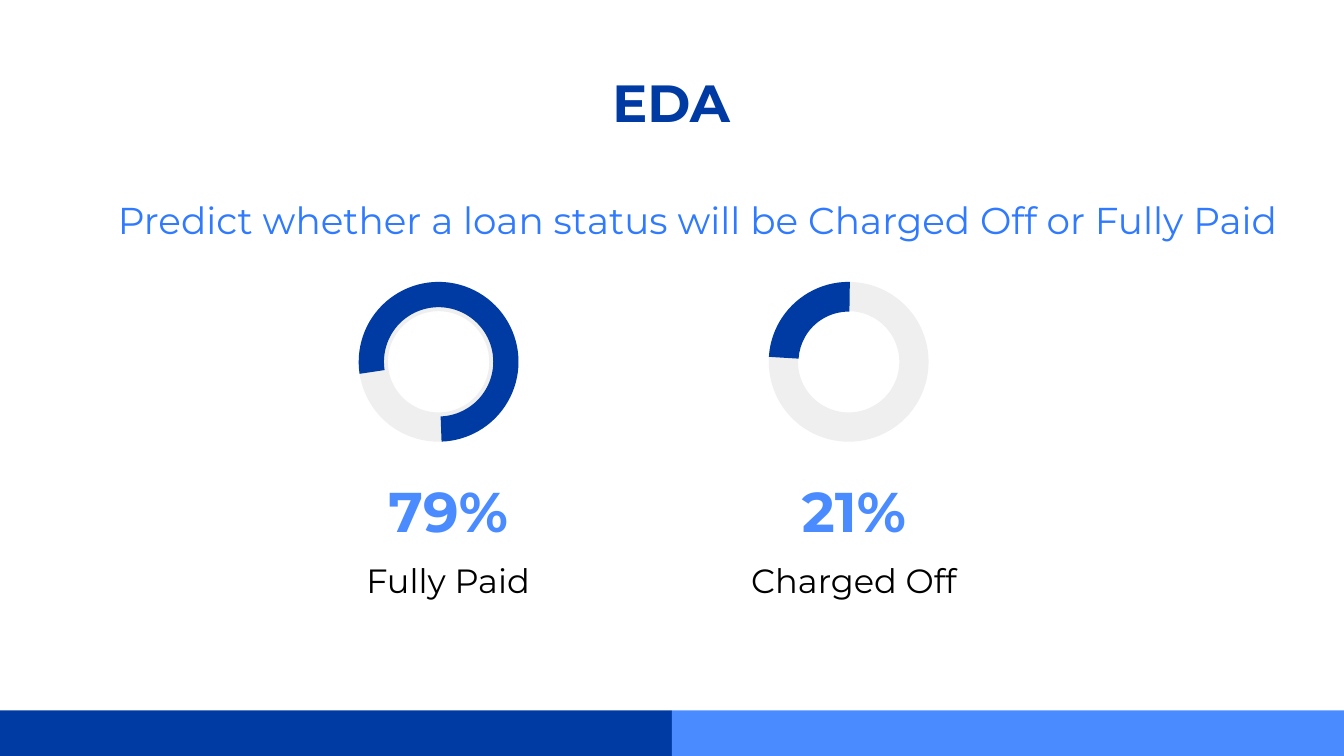
"""Build the EDA slide with two loan status rings."""
from pptx import Presentation
from pptx.dml.color import RGBColor
from pptx.enum.shapes import MSO_SHAPE
from pptx.enum.text import MSO_ANCHOR, PP_ALIGN
from pptx.util import Cm, Pt

RECT, DONUT, ARC = MSO_SHAPE.RECTANGLE, MSO_SHAPE.DONUT, MSO_SHAPE.BLOCK_ARC
TOP, MIDDLE = MSO_ANCHOR.TOP, MSO_ANCHOR.MIDDLE
LEFT, CENTER = PP_ALIGN.LEFT, PP_ALIGN.CENTER

COLORS = {"navy": "003BA3", "sky": "4A8CFF", "blue": "2F7AFF",
          "grey": "EFEFEF", "black": "000000"}
FONT = "Montserrat"
WIDTH, HEIGHT, BAR_HEIGHT = 25.4, 14.29, 0.86
RING_TOP, RING_SIZE, RING_HOLE = 5.33, 3.02, 0.183
LABEL_WIDTH, LABEL_HEIGHT = 6.02, 1.8

TITLE = "EDA"
QUESTION = "Predict whether a loan status will be Charged Off or Fully Paid"
STATUSES = [
    {"share": "79%", "name": "Fully Paid", "label_x": 5.46, "ring_x": 6.78,
     "angles": (171.33, 87.88), "thickness": 0.158},
    {"share": "21%", "name": "Charged Off", "label_x": 13.13, "ring_x": 14.53,
     "angles": (183.55, 270.88), "thickness": 0.186},
]
STYLES = {
    "title": {"size": Pt(28), "bold": True, "color": "navy", "align": CENTER, "anchor": TOP},
    "question": {"size": Pt(20), "bold": False, "color": "blue", "align": LEFT, "anchor": TOP},
    "share": {"size": Pt(30), "bold": True, "color": "sky", "align": CENTER, "anchor": MIDDLE},
    "name": {"size": Pt(18), "bold": False, "color": "black", "align": CENTER, "anchor": TOP},
}


def add_shape(s, kind, box, color, adjustments=()):
    sp = s.shapes.add_shape(kind, *map(Cm, box))
    sp.shadow.inherit = False
    sp.fill.solid()
    sp.fill.fore_color.rgb = RGBColor.from_string(COLORS[color])
    sp.line.fill.background()
    for i, value in enumerate(adjustments):
        sp.adjustments[i] = value


def add_text(s, text, box, style):
    look = STYLES[style]
    tf = s.shapes.add_textbox(*map(Cm, box)).text_frame
    tf.word_wrap = True
    tf.vertical_anchor = look["anchor"]
    for side in ("left", "top", "right", "bottom"):
        setattr(tf, f"margin_{side}", Cm(0.25))
    p = tf.paragraphs[0]
    p.alignment = look["align"]
    r = p.add_run()
    r.text = text
    r.font.name = FONT
    for key in ("size", "bold"):
        setattr(r.font, key, look[key])
    r.font.color.rgb = RGBColor.from_string(COLORS[look["color"]])


def main():
    prs = Presentation()
    prs.slide_width, prs.slide_height = Cm(WIDTH), Cm(HEIGHT)
    s = prs.slides.add_slide(prs.slide_layouts[6])
    for i, color in enumerate(("navy", "sky")):
        half = WIDTH / 2
        add_shape(s, RECT, (i * half, HEIGHT - BAR_HEIGHT, half, BAR_HEIGHT), color)
    add_text(s, TITLE, (1.98, 1.07, 21.41, 1.8), "title")
    add_text(s, QUESTION, (1.98, 3.48, 24.1, 1.12), "question")
    for status in STATUSES:
        ring = (status["ring_x"], RING_TOP, RING_SIZE, RING_SIZE)
        start, end = (angle * 0.6 for angle in status["angles"])
        add_shape(s, DONUT, ring, "grey", [RING_HOLE])
        add_shape(s, ARC, ring, "navy", [start, end, status["thickness"]])
        for key, top in (("share", 8.74), ("name", 10.34)):
            add_text(s, status[key], (status["label_x"], top, LABEL_WIDTH, LABEL_HEIGHT), key)
    prs.save("out.pptx")


if __name__ == "__main__":
    main()
